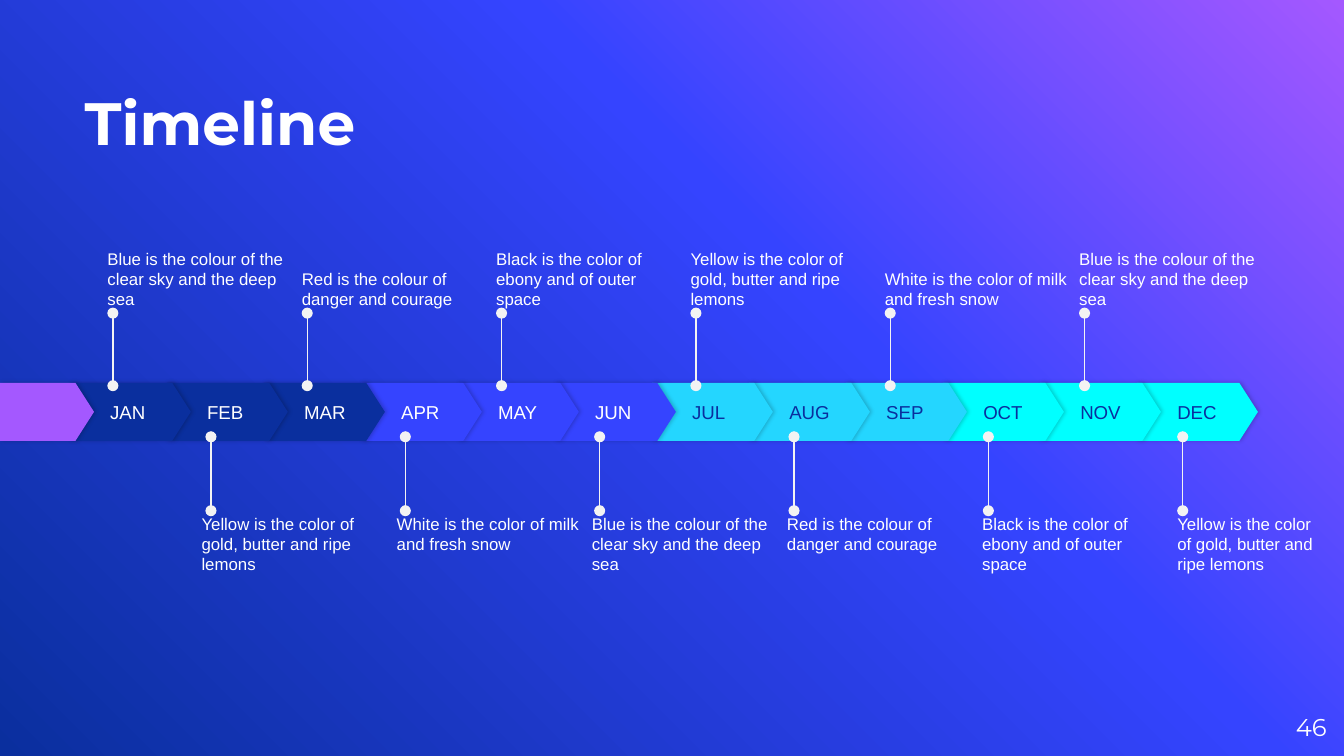
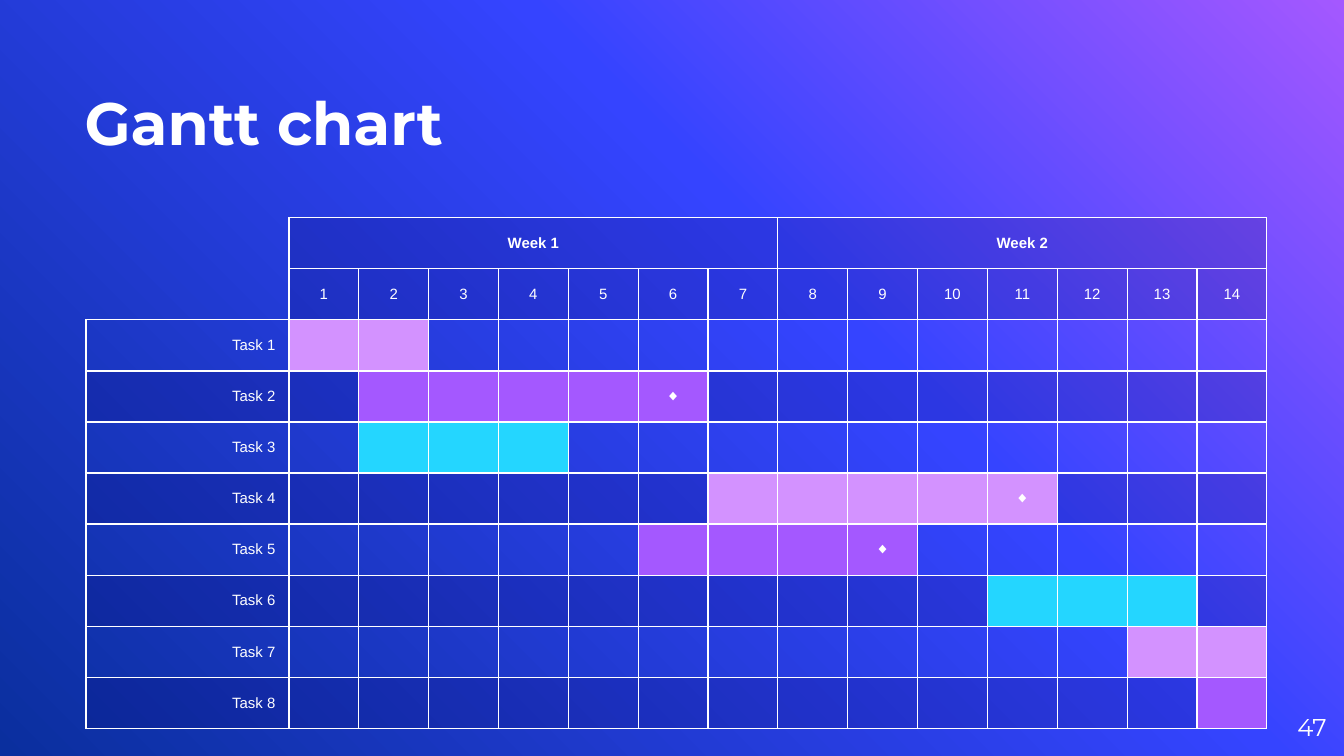
import copy

import pptx
import pptx.dml.color
import pptx.enum.shapes
import pptx.enum.text
import pptx.oxml
import pptx.oxml.ns
import pptx.util

Inches = pptx.util.Inches
Pt = pptx.util.Pt
ALIGN = pptx.enum.text.PP_ALIGN
ANCHOR = pptx.enum.text.MSO_ANCHOR
qn = pptx.oxml.ns.qn

# Shared theme
WHITE, NAVY, BLUE = "FFFFFF", "0A2F9E", "3544FF"
PURPLE, LILAC, SKY, AQUA = "A458FF", "D392FF", "24D6FF", "00FFFF"
SHADE, PIN = "050060", "F3F3F3"
GRADIENT = [(0, PURPLE), (0.39, BLUE), (1, NAVY)]
HEAD_FONT, BODY_FONT = "Montserrat", "Arial"

# Timeline content
MONTHS = ["JAN", "FEB", "MAR", "APR", "MAY", "JUN",
          "JUL", "AUG", "SEP", "OCT", "NOV", "DEC"]
QUARTERS = [(NAVY, WHITE), (BLUE, WHITE), (SKY, NAVY), (AQUA, NAVY)]
SKY_NOTE = "Blue is the colour of the clear sky and the deep sea"
RED_NOTE = "Red is the colour of danger and courage"
BLACK_NOTE = "Black is the color of ebony and of outer space"
YELLOW_NOTE = "Yellow is the color of gold, butter and ripe lemons"
WHITE_NOTE = "White is the color of milk and fresh snow"
UPPER_NOTES = [SKY_NOTE, RED_NOTE, BLACK_NOTE, YELLOW_NOTE, WHITE_NOTE, SKY_NOTE]
LOWER_NOTES = [YELLOW_NOTE, WHITE_NOTE, SKY_NOTE, RED_NOTE, BLACK_NOTE, YELLOW_NOTE]

# Gantt content: first day, last day, colour, ends with a milestone
TASKS = [(1, 2, LILAC, False), (2, 6, PURPLE, True), (2, 4, SKY, False),
         (7, 11, LILAC, True), (6, 9, PURPLE, True), (11, 13, SKY, False),
         (13, 14, LILAC, False), (14, 14, PURPLE, False)]
WEEKS, WEEK_DAYS = 2, 7
DAYS = WEEKS * WEEK_DAYS


def rgb(color):
    return pptx.dml.color.RGBColor.from_string(color)


def xml(tag, body="", **attrs):
    attrs = "".join(f' {k}="{v}"' for k, v in attrs.items())
    ns = pptx.oxml.ns.nsdecls("a")
    return pptx.oxml.parse_xml(f"<a:{tag} {ns}{attrs}>{body}</a:{tag}>")


def write(tf, text, size, color=WHITE, font=BODY_FONT, bold=False, align=ALIGN.LEFT):
    p = tf.paragraphs[0]
    p.text = text
    p.alignment = align
    p.font.size, p.font.name, p.font.bold = Pt(size), font, bold
    p.font.color.rgb = rgb(color)


def set_frame(tf, anchor, left=0):
    tf.word_wrap = True
    tf.vertical_anchor = anchor
    tf.margin_left = Inches(left)
    tf.margin_right = tf.margin_top = tf.margin_bottom = 0


def add_text(s, box, text, size, anchor, **style):
    tf = s.shapes.add_textbox(*map(Inches, box)).text_frame
    set_frame(tf, anchor)
    write(tf, text, size, **style)


def spread(first, last, count):
    return [first + (last - first) * i / (count - 1) for i in range(count)]


# Background, title and page number
def add_slide(prs, title, number):
    s = prs.slides.add_slide(prs.slide_layouts[6])
    fill = s.background.fill
    fill.gradient()
    fill.gradient_angle = 225
    stops = s.element.find(".//" + qn("a:gsLst"))
    stops.append(copy.deepcopy(stops[-1]))
    for stop, (position, color) in zip(fill.gradient_stops, GRADIENT):
        stop.position = position
        stop.color.rgb = rgb(color)
    add_text(s, (0.63, 0.23, 6.58, 0.94), title, 32, ANCHOR.BOTTOM,
             font=HEAD_FONT, bold=True)
    add_text(s, (9.27, 5.19, 0.6, 0.43), str(number), 13, ANCHOR.MIDDLE,
             font=HEAD_FONT, align=ALIGN.RIGHT)
    return s


# Month band
def add_arrow(s, box, fill):
    sp = s.shapes.add_shape(pptx.enum.shapes.MSO_SHAPE.PENTAGON, *map(Inches, box))
    sp.adjustments[0] = 0.32
    sp.fill.solid()
    sp.fill.fore_color.rgb = rgb(fill)
    sp.line.fill.background()
    sp.shadow.inherit = False
    sp.element.spPr.find(qn("a:effectLst")).append(
        xml("outerShdw", '<a:srgbClr val="000000"><a:alpha val="20000"/></a:srgbClr>',
            blurRad=Pt(2.2), dist=Pt(0.8), dir=0, algn="bl", rotWithShape=0))
    return sp


def add_months(s, left, top, width, height):
    arrow_w, stub_w = 0.9, 0.7
    xs = spread(left + 0.52, left + width - arrow_w, len(MONTHS))
    # Later months sit behind earlier ones
    for i in reversed(range(len(MONTHS))):
        fill, color = QUARTERS[i // 3]
        sp = add_arrow(s, (xs[i], top, arrow_w, height), fill)
        set_frame(sp.text_frame, ANCHOR.MIDDLE, left=0.3)
        write(sp.text_frame, MONTHS[i], 10, color)
    add_arrow(s, (left, top, stub_w, height), PURPLE)


# Pins with notes
def add_pin(s, x, y1, y2):
    pin = s.shapes.add_connector(pptx.enum.shapes.MSO_CONNECTOR.STRAIGHT,
                                 *map(Inches, (x, y1, x, y2)))
    pin.line.color.rgb = rgb(PIN)
    pin.line.width = Pt(0.75)
    spPr = pin.element.spPr
    for end in ("headEnd", "tailEnd"):
        spPr.find(qn("a:ln")).append(xml(end, type="oval"))
    spPr.append(xml("effectLst"))


def add_notes(s, notes, pins, pin_ys, lefts, top, anchor, last_width=1.37):
    count = len(notes)
    pin_xs, note_xs = spread(*pins, count), spread(*lefts, count)
    for i, note in enumerate(notes):
        width = last_width if i == count - 1 else 1.37
        add_pin(s, pin_xs[i], *pin_ys)
        add_text(s, (note_xs[i], top, width, 0.58), note, 9, anchor)


def timeline_slide(prs):
    s = add_slide(prs, "Timeline", 46)
    add_months(s, 0, 2.85, 9.36, 0.43)
    add_notes(s, UPPER_NOTES, (0.84, 8.07), (2.87, 2.33), (0.8, 8.03), 1.72,
              ANCHOR.BOTTOM)
    add_notes(s, LOWER_NOTES, (1.57, 8.8), (3.8, 3.25), (1.5, 8.76), 3.82,
              ANCHOR.TOP, last_width=1.13)


# Gantt table
def fill_cell(cell, color):
    if color is None:
        cell.fill.background()
        return
    cell.fill.solid()
    cell.fill.fore_color.rgb = rgb(color)
    if color == SHADE:
        clr = cell._tc.tcPr.find(".//" + qn("a:srgbClr"))
        clr.append(xml("alpha", val=18000))


def border_cell(cell, sides):
    tcPr = cell._tc.get_or_add_tcPr()
    for i, side in enumerate("LRTB"):
        body = "<a:noFill/>"
        if side in sides:
            body = f'<a:solidFill><a:srgbClr val="{WHITE}"/></a:solidFill>'
        tcPr.insert(i, xml("ln" + side, body, w=Pt(0.75)))


def cell_content(row, day):
    """Return text, fill and borders for a cell; day 0 is the label column."""
    if row < 2:
        if day == 0:
            return "", None, "RB" if row else "R"
        if row:
            return str(day), SHADE, "LRTB"
        week, offset = divmod(day - 1, WEEK_DAYS)
        return "" if offset else f"Week {week + 1}", SHADE, "LRTB"
    first, last, color, milestone = TASKS[row - 2]
    stripe = SHADE if row % 2 else None
    if day == 0:
        return f"Task {row - 1}", stripe, "LRTB"
    text = "◆" if milestone and day == last else ""
    return text, color if first <= day <= last else stripe, "LRTB"


def add_gantt(s, left, top, label_w, day_w, row_h):
    rows = len(TASKS) + 2
    box = (left, top, label_w + DAYS * day_w, rows * row_h)
    table = s.shapes.add_table(rows, DAYS + 1, *map(Inches, box)).table
    table.first_row = table.horz_banding = False
    for day, col in enumerate(table.columns):
        col.width = Inches(day_w if day else label_w)
    for r, row in enumerate(table.rows):
        row.height = Inches(row_h)
        for day, cell in enumerate(row.cells):
            text, color, sides = cell_content(r, day)
            cell.vertical_anchor = ANCHOR.MIDDLE
            # Empty cells must not stretch the row
            cell.margin_top = cell.margin_bottom = Inches(0.05 if text else 0)
            align = ALIGN.CENTER if day else ALIGN.RIGHT
            write(cell.text_frame, text, 8, bold=r == 0, align=align)
            fill_cell(cell, color)
            border_cell(cell, sides)
    for week in range(WEEKS):
        first = 1 + week * WEEK_DAYS
        table.cell(0, first).merge(table.cell(0, first + WEEK_DAYS - 1))


def gantt_slide(prs):
    s = add_slide(prs, "Gantt chart", 47)
    add_gantt(s, 0.64, 1.62, 1.51, 0.52, 0.38)


def main():
    prs = pptx.Presentation()
    prs.slide_width = Inches(10)
    prs.slide_height = prs.slide_width * 9 // 16
    timeline_slide(prs)
    gantt_slide(prs)
    prs.save("out.pptx")


if __name__ == "__main__":
    main()
